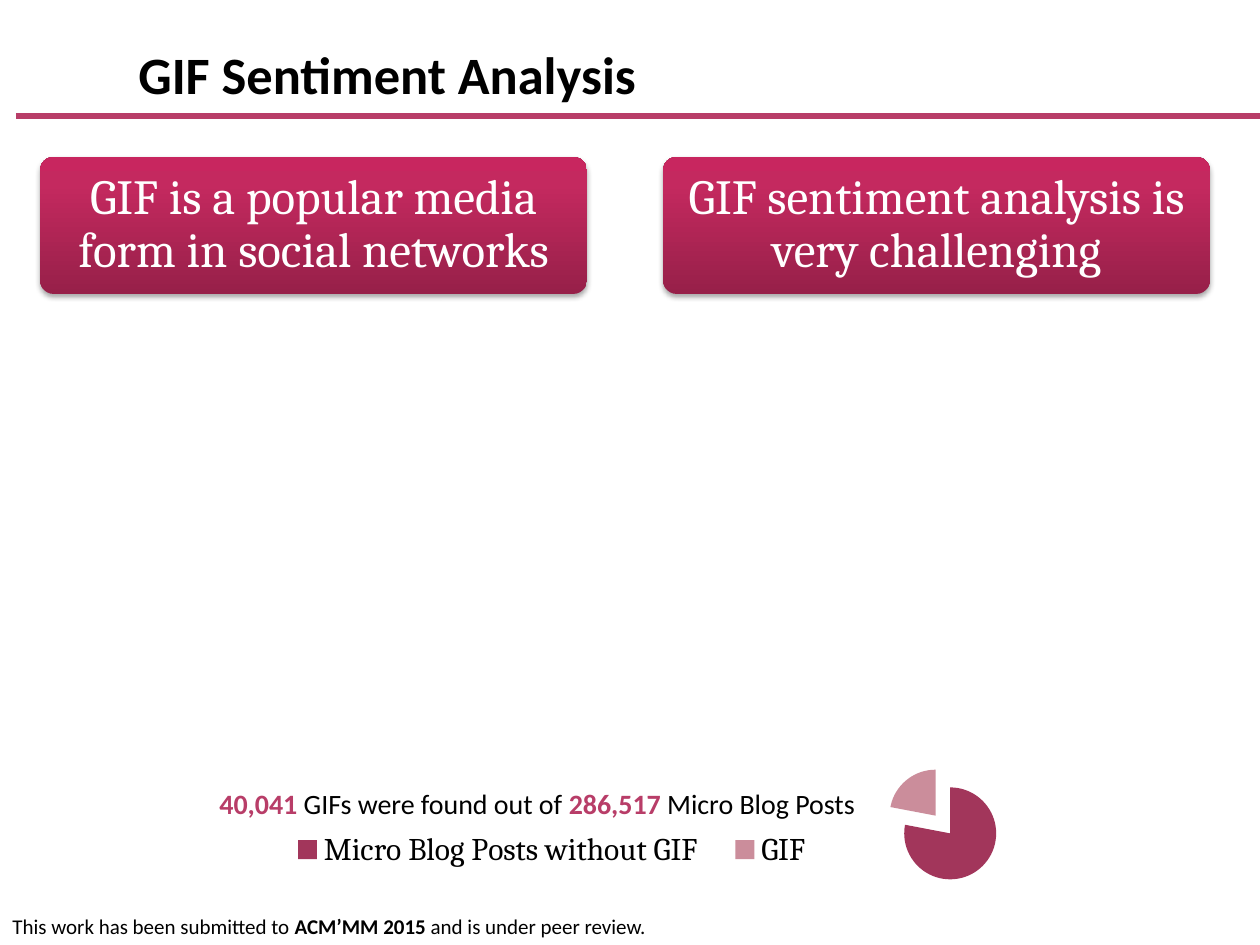
from lxml import etree
from pptx import Presentation
from pptx.chart.data import CategoryChartData
from pptx.dml.color import RGBColor
from pptx.enum.chart import XL_CHART_TYPE as ChartType, XL_LEGEND_POSITION as LegendPosition
from pptx.enum.shapes import MSO_CONNECTOR as Connector, MSO_SHAPE as Shape
from pptx.enum.text import MSO_ANCHOR as Anchor, PP_ALIGN as Align
from pptx.oxml import parse_xml
from pptx.oxml.ns import nsdecls, qn
from pptx.util import Emu, Pt

PX = 914400 / 126
ROSE, BLACK, WHITE = "B83D68", "000000", "FFFFFF"


def place(*lengths):
    return [Emu(round(length * PX)) for length in lengths]


def add_text(position, spans, size, font="Calibri", align=Align.LEFT,
             anchor=Anchor.TOP, wrap=True, inset=None, spacing=None):
    """Add a one-paragraph text box; each span is (text, colour, bold)."""
    frame = page.shapes.add_textbox(*place(*position)).text_frame
    frame.word_wrap, frame.vertical_anchor = wrap, anchor
    if inset is not None:
        for side in ("left", "top", "right", "bottom"):
            setattr(frame, f"margin_{side}", place(inset)[0])
    para = frame.paragraphs[0]
    para.alignment, para.line_spacing = align, spacing
    for text, colour, bold in spans:
        span = para.add_run()
        span.text = text
        for name, value in {"name": font, "size": Pt(size), "bold": bold}.items():
            setattr(span.font, name, value)
        span.font.color.rgb = RGBColor.from_string(colour)


deck = Presentation()
deck.slide_width, deck.slide_height = place(1260, 945)
page = deck.slides.add_slide(deck.slide_layouts[6])

# Title and rule
rule = page.shapes.add_connector(Connector.STRAIGHT, *place(16, 116, 1260, 116))
rule.line.color.rgb = RGBColor.from_string(ROSE)
rule.line.width = Pt(3)
etree.SubElement(rule._element.spPr, qn("a:effectLst"))
add_text((126, 32, 1071, 84), [("GIF Sentiment Analysis", BLACK, True)], 30,
         anchor=Anchor.MIDDLE)

# Two statement cards
GRADIENT = f"""<a:gradFill {nsdecls("a")} rotWithShape="1"><a:gsLst>
<a:gs pos="0"><a:srgbClr val="972049"/></a:gs>
<a:gs pos="80000"><a:srgbClr val="C4295F"/></a:gs>
<a:gs pos="100000"><a:srgbClr val="C8265F"/></a:gs>
</a:gsLst><a:lin ang="16200000" scaled="0"/></a:gradFill>"""
SHADOW = f"""<a:effectLst {nsdecls("a")}>
<a:outerShdw blurRad="40000" dist="23000" dir="5400000" rotWithShape="0">
<a:srgbClr val="000000"><a:alpha val="35000"/></a:srgbClr>
</a:outerShdw></a:effectLst>"""
statements = ["GIF is a popular media form in social networks",
              "GIF sentiment analysis is very challenging"]
for index, statement in enumerate(statements):
    left = 40 + 623 * index
    card = page.shapes.add_shape(Shape.ROUNDED_RECTANGLE, *place(left, 157, 547, 137))
    card.adjustments[0] = 0.1
    card.line.fill.background()
    properties = card._element.spPr
    properties.find(qn("a:prstGeom")).addnext(parse_xml(GRADIENT))
    properties.append(parse_xml(SHADOW))
    add_text((left + 4, 161, 539, 129), [(statement, WHITE, False)], 28, "Cambria",
             Align.CENTER, Anchor.MIDDLE, inset=5, spacing=0.9)

# Share of posts with a GIF
data = CategoryChartData()
data.categories = ["Micro Blog Posts without GIF", "GIF"]
data.add_series("Series 1", (78, 22))
chart = page.shapes.add_chart(ChartType.PIE_EXPLODED, *place(-10, 403, 1221, 483), data).chart
chart.has_title = False
chart.font.name, chart.font.size = "Cambria", Pt(18)
chart.font.color.rgb = RGBColor.from_string(BLACK)
chart.has_legend = True
chart.legend.position = LegendPosition.BOTTOM
chart.legend.include_in_layout = False
pie = chart.plots[0]
pie.vary_by_categories = True
for index, colour in enumerate(("A2365B", "CB8D9B")):
    slice_fill = pie.series[0].points[index].format.fill
    slice_fill.solid()
    slice_fill.fore_color.rgb = RGBColor.from_string(colour)
explosion = pie.series[0]._element.find(qn("c:explosion"))
if explosion is not None:
    explosion.set("val", "25")

plot_area = chart._chartSpace.chart.plotArea
legend_position = chart.legend._element.find(qn("c:legendPos"))
for old in plot_area.findall(qn("c:layout")) + chart.legend._element.findall(qn("c:layout")):
    old.getparent().remove(old)
layouts = [('<c:layoutTarget val="inner"/>', (0.563, 0.754, 0.435, 0.238)),
           ("", (0.23, 0.88, 0.46, 0.09))]
plot_layout, legend_layout = [
    parse_xml(f'<c:layout {nsdecls("c")}><c:manualLayout>{target}'
              '<c:xMode val="edge"/><c:yMode val="edge"/>'
              + "".join(f'<c:{key} val="{value}"/>' for key, value in zip("xywh", box))
              + "</c:manualLayout></c:layout>")
    for target, box in layouts]
plot_area.insert(0, plot_layout)
legend_position.addnext(legend_layout)

# Finding and footnote
add_text((207, 780, 675, 47), [("40,041", ROSE, True),
                               (" GIFs were found out of ", BLACK, False),
                               ("286,517", ROSE, True),
                               (" Micro Blog Posts", BLACK, False)], 16, wrap=False)
add_text((0, 907, 660, 38), [("This work has been submitted to ", BLACK, False),
                             ("ACM’MM 2015 ", BLACK, True),
                             ("and is under peer review.", BLACK, False)], 12, wrap=False)

deck.save("out.pptx")
